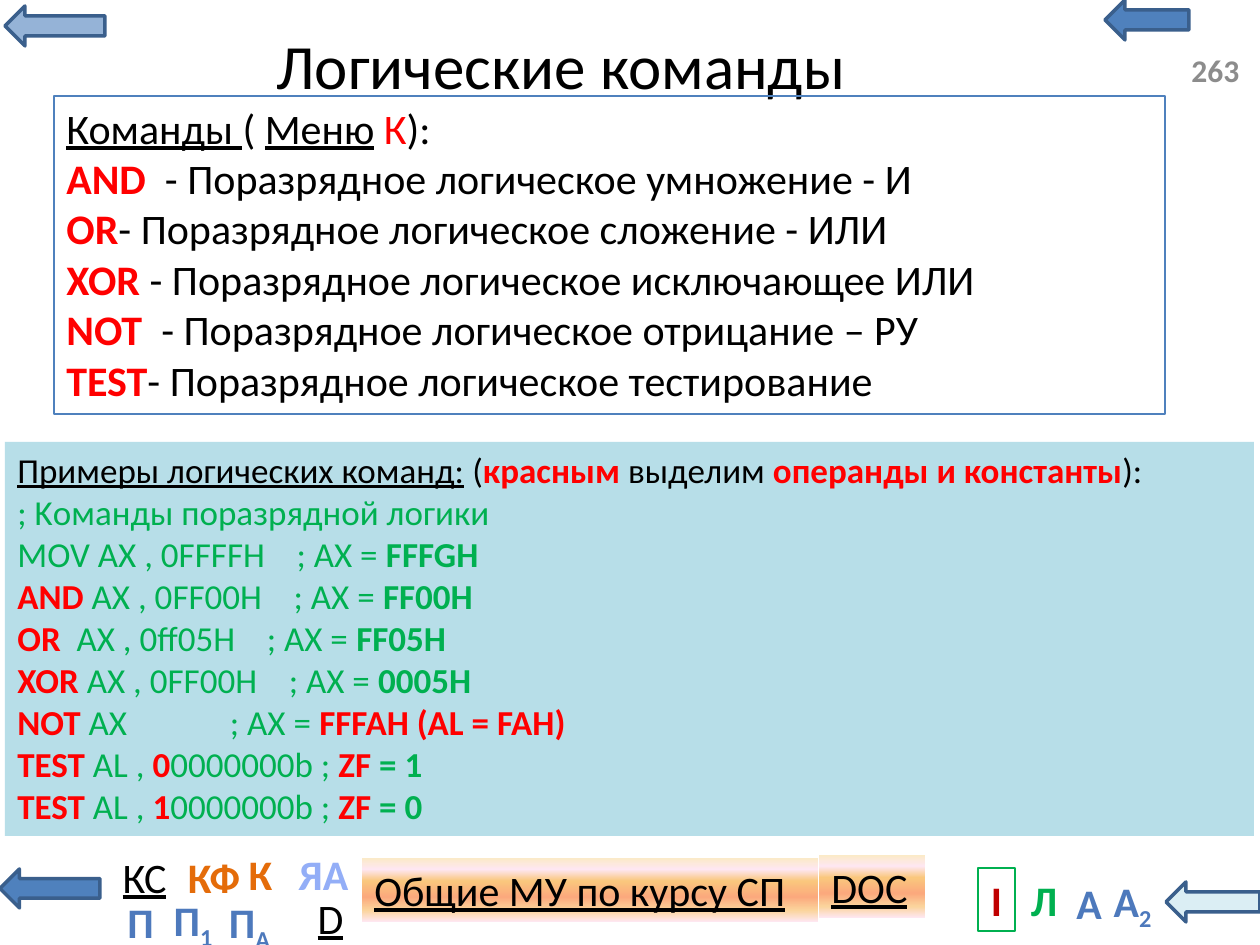
from lxml import etree
from pptx import Presentation
from pptx.dml.color import RGBColor
from pptx.enum.shapes import MSO_SHAPE
from pptx.enum.text import MSO_ANCHOR, PP_ALIGN
from pptx.oxml.ns import qn
from pptx.util import Emu, Pt

LEFT_ARROW, RECTANGLE = MSO_SHAPE.LEFT_ARROW, MSO_SHAPE.RECTANGLE
TOP, MIDDLE = MSO_ANCHOR.TOP, MSO_ANCHOR.MIDDLE
LEFT, CENTER = PP_ALIGN.LEFT, PP_ALIGN.CENTER
PX = 914400 / 126
BLACK, RED, GREEN, BLUE, ORANGE = "000000", "FF0000", "00B050", "4D79BC", "E46C0A"
SUNRISE = [(0, "FBEAC7"), (18, "FEE7F2"), (36, "FAC77D"),
           (61, "FBA97D"), (82, "FBD49C"), (100, "FEE7F2")]


def paint(fill, colour):
    if colour is None:
        fill.background()
    else:
        fill.solid()
        fill.fore_color.rgb = RGBColor.from_string(colour)


def write(shape, paragraphs, size, align=LEFT, anchor=TOP, wrap=True):
    frame = shape.text_frame
    frame.word_wrap = wrap
    frame.vertical_anchor = anchor
    for index, parts in enumerate(paragraphs):
        paragraph = frame.add_paragraph() if index else frame.paragraphs[0]
        paragraph.alignment = align
        for text, colour, style in parts:
            run = paragraph.add_run()
            run.text = text
            run.font.name = "Calibri"
            run.font.size = Pt(size)
            run.font.bold = "b" in style
            run.font.underline = "u" in style
            paint(run.font.fill, colour)
            if "s" in style:
                run._r.get_or_add_rPr().set("baseline", "-25000")


presentation = Presentation()
presentation.slide_width = Emu(9144000)
presentation.slide_height = Emu(6858000)
slide = presentation.slides.add_slide(presentation.slide_layouts[6])
shapes = slide.shapes

navigation = [
    (1105, 0, 84, 40, "4F81BD"),
    (0, 869, 100, 39, "4F81BD"),
    (5, 6, 100, 40, "95B3D7"),
    (1166, 882, 94, 40, "DBEEF4"),
]
for *place, colour in navigation:
    arrow = shapes.add_shape(LEFT_ARROW, *[Emu(round(v * PX)) for v in place])
    arrow.shadow.inherit = False
    paint(arrow.fill, colour)
    paint(arrow.line.fill, "3A5F8C")
    arrow.line.width = Pt(2)

banners = [
    ((362, 858, 456, 64), "Общие МУ по курсу СП"),
    ((819, 855, 106, 63), "DOC"),
]
for place, caption in banners:
    banner = shapes.add_shape(RECTANGLE, *[Emu(round(v * PX)) for v in place])
    banner.shadow.inherit = False
    paint(banner.line.fill, None)
    banner.fill.gradient()
    banner.fill.gradient_angle = 270
    stops = banner._element.spPr.find(".//" + qn("a:gsLst"))
    stops.clear()
    for position, colour in SUNRISE:
        stop = etree.SubElement(stops, qn("a:gs"), pos=str(position * 1000))
        etree.SubElement(stop, qn("a:srgbClr"), val=colour)
    write(banner, [[(caption, BLACK, "u")]], 24)

framed_links = [
    ((306, 886, 49, 63), "D", BLACK, "u", "FFFFFF"),
    ((978, 868, 37, 63), "I", "C00000", "b", GREEN),
    ((105, 845, 79, 63), "КС", BLACK, "u", "FFFFFF"),
]
for place, caption, colour, style, border in framed_links:
    link = shapes.add_shape(RECTANGLE, *[Emu(round(v * PX)) for v in place])
    link.shadow.inherit = False
    paint(link.fill, None)
    paint(link.line.fill, border)
    link.line.width = Pt(0.75)
    write(link, [[(caption, colour, style)]], 24, CENTER, wrap=False)

plain_links = [
    ((1063, 871, 52, 63), "А", "", BLUE),
    ((236, 842, 49, 63), "К", "", ORANGE),
    ((1018, 868, 52, 63), "Л", "", GREEN),
    ((1099, 869, 67, 63), "А", "2", BLUE),
    ((284, 842, 79, 63), "ЯА", "", "93AEF7"),
    ((115, 890, 42, 63), "П", "", BLUE),
    ((159, 888, 68, 63), "П", "1", BLUE),
    ((175, 845, 78, 63), "КФ", "", ORANGE),
    ((215, 890, 69, 63), "П", "А", BLUE),
]
for place, caption, subscript, colour in plain_links:
    link = shapes.add_textbox(*[Emu(round(v * PX)) for v in place])
    parts = [(caption, colour, "b")]
    if subscript:
        parts.append((subscript, colour, "bs"))
    write(link, [parts], 24, CENTER, wrap=False)

title = shapes.add_textbox(*[Emu(round(v * PX)) for v in (174, 16, 774, 97)])
write(title, [[("Логические команды", BLACK, "")]], 36, CENTER, MIDDLE)

page_number = shapes.add_textbox(*[Emu(round(v * PX)) for v in (1179, 45, 81, 50)])
write(page_number, [[("263", "8C8C8C", "b")]], 18, anchor=MIDDLE)

example_lines = [
    [("Примеры логических команд:", BLACK, "u"), (" (", BLACK, ""),
     ("красным", RED, "b"), (" выделим ", BLACK, ""),
     ("операнды и константы", RED, "b"), ("):", BLACK, "")],
    [("; Kоманды поразрядной логики", GREEN, "")],
    [("MOV AX , 0FFFFH    ; AX = ", GREEN, ""), ("FFFGH", GREEN, "b")],
]
operations = [
    ("AND", " AX , 0FF00H    ; AX = ", "FF00H", GREEN),
    ("OR", "  AX , 0ff05H    ; AX = ", "FF05H", GREEN),
    ("XOR", " AX , 0FF00H    ; AX = ", "0005H", GREEN),
    ("NOT", " AX             ; AX = ", "FFFAH (AL = FAH)", RED),
]
for command, operands, outcome, colour in operations:
    example_lines.append([(command, RED, "b"), (operands, GREEN, ""), (outcome, colour, "b")])
for bit, flag in (("0", "1"), ("1", "0")):
    example_lines.append([("TEST", RED, "b"), (" AL , ", GREEN, ""), (bit, RED, "b"),
                          ("0000000b ; ", GREEN, ""), ("ZF", RED, "b"),
                          (f" = {flag}", GREEN, "b")])

command_lines = [
    [("Команды ", BLACK, "u"), ("( ", BLACK, ""), ("Меню", BLACK, "u"),
     (" К", RED, ""), ("):", BLACK, "")],
]
descriptions = [
    ("AND ", " - Поразрядное логическое умножение - И"),
    ("OR", "- Поразрядное логическое сложение - ИЛИ"),
    ("XOR", " - Поразрядное логическое исключающее ИЛИ"),
    ("NOT ", " - Поразрядное логическое отрицание – РУ"),
    ("TEST", "- Поразрядное логическое тестирование"),
]
for command, description in descriptions:
    command_lines.append([(command, RED, "b"), (description, BLACK, "")])

panels = [
    ((5, 442, 1249, 394), "B7DEE8", None, example_lines, 20),
    ((54, 96, 1111, 318), None, "4F81BD", command_lines, 24),
]
for place, background, border, lines, size in panels:
    panel = shapes.add_shape(RECTANGLE, *[Emu(round(v * PX)) for v in place])
    panel.shadow.inherit = False
    paint(panel.fill, background)
    paint(panel.line.fill, border)
    if border:
        panel.line.width = Pt(0.75)
    write(panel, lines, size)

presentation.save("out.pptx")
